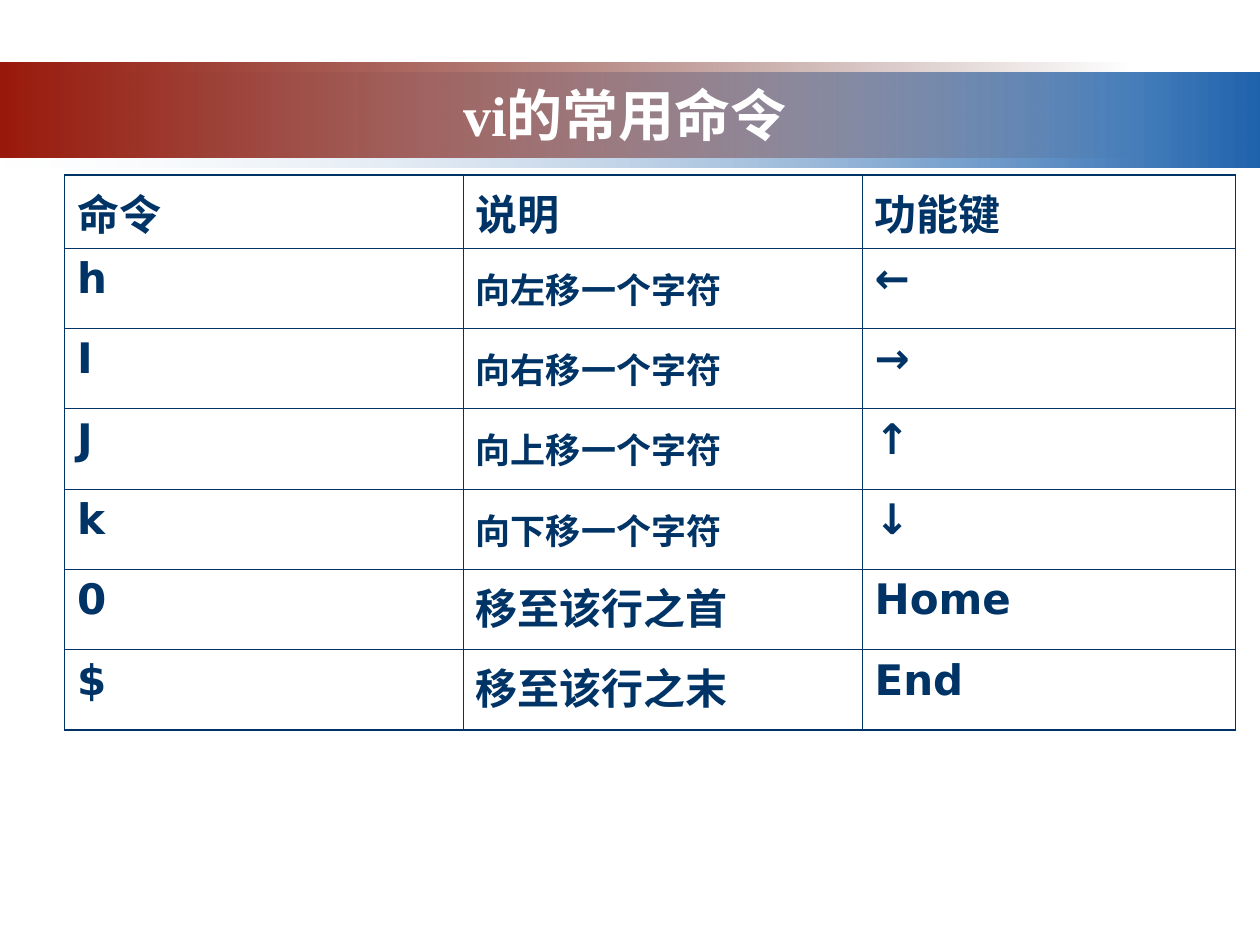
"""Build a slide with a table of common vi commands."""
from lxml.etree import SubElement
from pptx import Presentation
from pptx.dml.color import RGBColor
from pptx.enum.shapes import MSO_SHAPE
from pptx.enum.text import MSO_ANCHOR, PP_ALIGN
from pptx.oxml import parse_xml
from pptx.oxml.ns import nsdecls, qn
from pptx.util import Cm, Pt

COLORS = {
    "navy": "003366",
    "white": "FFFFFF",
    "blue": "1F63AD",
    "pale_blue": "E2EAF3",
    "dark_red": "460B05",
    "red": "99190B",
}
TITLE = "vi的常用命令"
HEADER = ("命令", "说明", "功能键")
MOVES = [("h", "左", "←"), ("I", "右", "→"), ("J", "上", "↑"), ("k", "下", "↓")]
LINE_JUMPS = [("0", "移至该行之首", "Home"), ("$", "移至该行之末", "End")]
ROWS = [
    [[(text, 24)] for text in HEADER],
    *[
        [[(key, 24)], [(f"向{direction}移一个字符", 20), (" ", 24)], [(arrow, 24)]]
        for key, direction, arrow in MOVES
    ],
    *[[[(text, 24)] for text in row] for row in LINE_JUMPS],
]
BANDS = [
    {"top": 1.47, "width": 25.4, "stops": [("blue", 100), ("pale_blue", 0)]},
    {"top": 1.27, "width": 22.86, "stops": [("dark_red", 0), ("red", 100)]},
]
COLUMN_WIDTHS = (8.04, 8.04, 7.53)
HEADER_HEIGHT, ROW_HEIGHT = 1.47, 1.62
THIN, THICK = Pt(0.45), Pt(1.08)


def add_band(slide, top, width, stops):
    shape = slide.shapes.add_shape(
        MSO_SHAPE.RECTANGLE, 0, Cm(top), Cm(width), Cm(1.9)
    )
    shape.shadow.inherit = False
    shape.line.fill.background()
    shape.fill.gradient()
    shape.fill.gradient_angle = 180
    for stop, (color, _) in zip(shape.fill.gradient_stops, stops):
        stop.color.rgb = RGBColor.from_string(COLORS[color])
    color_nodes = shape._element.xpath(".//a:gs/a:srgbClr")
    for node, (_, opacity) in zip(color_nodes, stops):
        SubElement(node, qn("a:alpha"), val=str(opacity * 1000))


def add_run(paragraph, text, size, font_name, color):
    run = paragraph.add_run()
    run.text = text
    run.font.size = Pt(size)
    run.font.name = font_name
    run.font.bold = True
    run.font.color.rgb = RGBColor.from_string(COLORS[color])


def add_title(slide):
    text_box = slide.shapes.add_textbox(Cm(2.34), Cm(1.52), Cm(20.52), Cm(1.57))
    frame = text_box.text_frame
    frame.word_wrap = True
    frame.vertical_anchor = MSO_ANCHOR.MIDDLE
    paragraph = frame.paragraphs[0]
    paragraph.alignment = PP_ALIGN.CENTER
    add_run(paragraph, TITLE, 32, "Times New Roman", "white")


def set_borders(cell, outer_sides):
    properties = cell._tc.get_or_add_tcPr()
    for index, side in enumerate("LRTB"):
        width = THICK if side in outer_sides else THIN
        border = parse_xml(
            f'<a:ln{side} {nsdecls("a")} w="{width}"><a:solidFill>'
            f'<a:srgbClr val="{COLORS["navy"]}"/></a:solidFill></a:ln{side}>'
        )
        properties.insert(index, border)


def add_command_table(slide):
    heights = [HEADER_HEIGHT] + [ROW_HEIGHT] * (len(ROWS) - 1)
    table = slide.shapes.add_table(
        len(ROWS), len(COLUMN_WIDTHS), Cm(1.3), Cm(3.53),
        Cm(sum(COLUMN_WIDTHS)), Cm(sum(heights)),
    ).table
    table.first_row = False
    table.horz_banding = False
    for column, width in zip(table.columns, COLUMN_WIDTHS):
        column.width = Cm(width)
    for row, height in zip(table.rows, heights):
        row.height = Cm(height)
    last_row, last_column = len(ROWS) - 1, len(COLUMN_WIDTHS) - 1
    for i, row in enumerate(ROWS):
        for j, runs in enumerate(row):
            cell = table.cell(i, j)
            cell.fill.background()
            edges = {"L": j == 0, "R": j == last_column, "T": i == 0, "B": i == last_row}
            set_borders(cell, [side for side, outer in edges.items() if outer])
            paragraph = cell.text_frame.paragraphs[0]
            paragraph.space_before = Pt(6)
            for text, size in runs:
                add_run(paragraph, text, size, "DejaVu Sans", "navy")


def main():
    presentation = Presentation()
    presentation.slide_width, presentation.slide_height = Cm(25.4), Cm(19.05)
    slide = presentation.slides.add_slide(presentation.slide_layouts[6])
    for band in BANDS:
        add_band(slide, **band)
    add_title(slide)
    add_command_table(slide)
    presentation.save("out.pptx")


if __name__ == "__main__":
    main()
